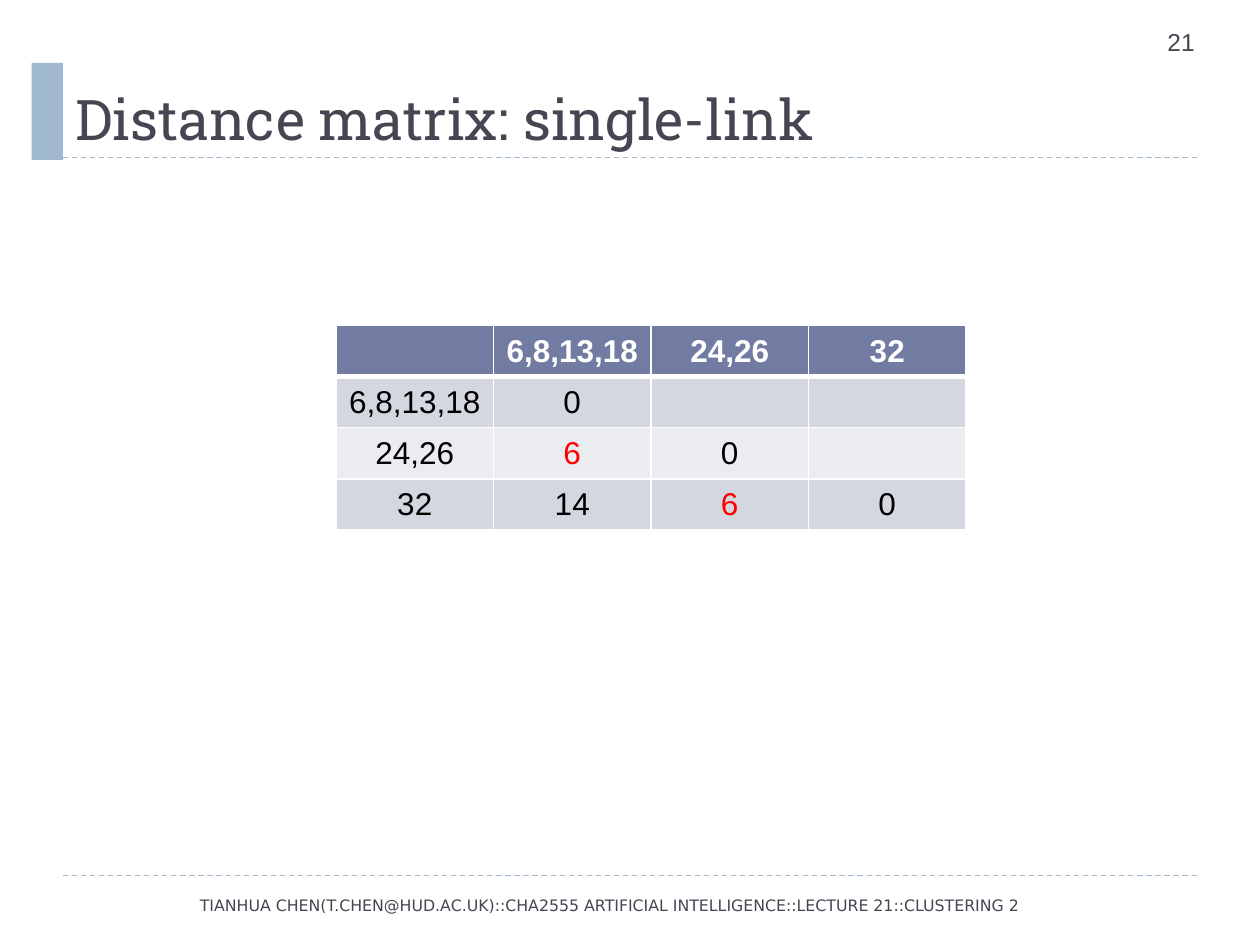
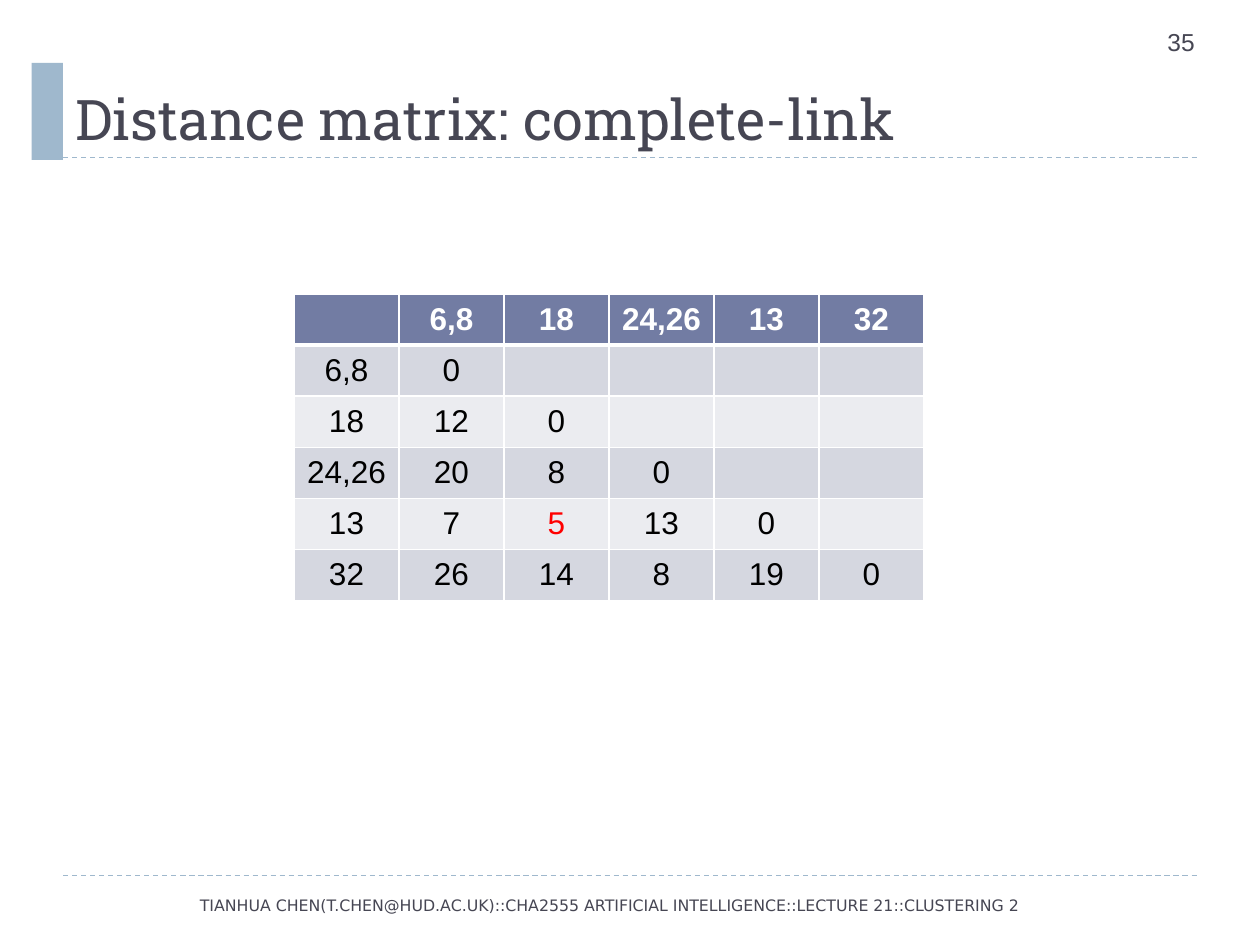
from lxml import etree
from pptx import Presentation
from pptx.dml.color import RGBColor
from pptx.enum.dml import MSO_LINE
from pptx.enum.shapes import MSO_CONNECTOR, MSO_SHAPE
from pptx.enum.text import MSO_ANCHOR, PP_ALIGN
from pptx.oxml.ns import qn
from pptx.util import Pt

STRAIGHT, RECTANGLE, DASH = MSO_CONNECTOR.STRAIGHT, MSO_SHAPE.RECTANGLE, MSO_LINE.DASH
LEFT, CENTER = PP_ALIGN.LEFT, PP_ALIGN.CENTER
TOP, MIDDLE, BOTTOM = MSO_ANCHOR.TOP, MSO_ANCHOR.MIDDLE, MSO_ANCHOR.BOTTOM

ACCENT = RGBColor(0x9F, 0xB8, 0xCD)
INK = RGBColor(0x46, 0x46, 0x53)
HEADER_FILL = RGBColor(0x72, 0x7C, 0xA3)
BAND_FILLS = (RGBColor(0xD5, 0xD7, 0xE0), RGBColor(0xEB, 0xEC, 0xF0))
WHITE = RGBColor(0xFF, 0xFF, 0xFF)
BLACK = RGBColor(0x00, 0x00, 0x00)
RED = RGBColor(0xFF, 0x00, 0x00)

TITLE_FONT = {"name": "Roboto Slab", "size": Pt(32)}
NUMBER_FONT = {"name": "Arial", "size": Pt(14)}
FOOTER_FONT = {"name": "DejaVu Sans", "size": Pt(9)}
CELL_FONT = {"name": "Arial", "size": Pt(18)}

# Boxes are left, top, width, height in points.
TITLE_BOX = (36, 12, 648, 78)
NUMBER_BOX = (660, 12, 60, 29)
FOOTER_BOX = (14.4, 501, 667.4, 32)
TAB_BOX = (18, 36, 18, 55.4)
RULE_LEFT, RULE_RIGHT = 36, 684
RULE_TOPS = (500.4, 90)
TABLE_WIDTH, ROW_HEIGHT = 360, 29.2

FOOTER = ("TIANHUA CHEN(T.CHEN@HUD.AC.UK)::CHA2555 ARTIFICIAL INTELLIGENCE"
          "::LECTURE 21::CLUSTERING 2")

# Each matrix is a lower triangle: row i holds the distances to clusters 0..i.
MATRIX_SLIDES = [
    {"number": 21, "title": "Distance matrix: single-link", "corner": (192, 186),
     "clusters": ["6,8,13,18", "24,26", "32"],
     "distances": [[0], [6, 0], [14, 6, 0]]},
    {"number": 35, "title": "Distance matrix: complete-link", "corner": (168, 168),
     "clusters": ["6,8", "18", "24,26", "13", "32"],
     "distances": [[0], [12, 0], [20, 8, 0], [7, 5, 13, 0], [26, 14, 8, 19, 0]]},
]


def write(para, text, font, color, align, bold=False):
    para.alignment = align
    span = para.add_run()
    span.text = str(text)
    for name, value in {**font, "bold": bold}.items():
        setattr(span.font, name, value)
    span.font.color.rgb = color


def add_text(page, box, text, font, align=LEFT, anchor=TOP):
    frame = page.shapes.add_textbox(*map(Pt, box)).text_frame
    frame.word_wrap = True
    frame.vertical_anchor = anchor
    write(frame.paragraphs[0], text, font, INK, align)


def add_rule(page, top):
    rule = page.shapes.add_connector(
        STRAIGHT, Pt(RULE_LEFT), Pt(top), Pt(RULE_RIGHT), Pt(top))
    rule.line.color.rgb = ACCENT
    rule.line.width = Pt(0.75)
    rule.line.dash_style = DASH
    etree.SubElement(rule._element.spPr, qn("a:effectLst"))


def add_frame(page, number, title):
    """Add what every slide shares: rules, title tab, number, title and footer."""
    for top in RULE_TOPS:
        add_rule(page, top)
    tab = page.shapes.add_shape(RECTANGLE, *map(Pt, TAB_BOX))
    tab.shadow.inherit = False
    tab.fill.solid()
    tab.fill.fore_color.rgb = ACCENT
    tab.line.fill.background()
    add_text(page, NUMBER_BOX, number, NUMBER_FONT)
    add_text(page, TITLE_BOX, title, TITLE_FONT, anchor=BOTTOM)
    add_text(page, FOOTER_BOX, FOOTER, FOOTER_FONT, CENTER, MIDDLE)


def set_borders(cell, top=1, bottom=1):
    properties = cell._tc.get_or_add_tcPr()
    for side, width in {"L": 1, "R": 1, "T": top, "B": bottom}.items():
        line = etree.SubElement(properties, qn(f"a:ln{side}"), w=str(Pt(width)))
        fill = etree.SubElement(line, qn("a:solidFill"))
        etree.SubElement(fill, qn("a:srgbClr"), val=str(WHITE))


def add_matrix(page, corner, clusters, distances):
    """Add the distance table, with the smallest distance between clusters in red."""
    count = len(clusters) + 1
    box = (*corner, TABLE_WIDTH, count * ROW_HEIGHT)
    table = page.shapes.add_table(count, count, *map(Pt, box)).table
    for column in table.columns:
        column.width = Pt(TABLE_WIDTH / count)
    for row in table.rows:
        row.height = Pt(ROW_HEIGHT)

    nearest = min(value for row in distances for value in row[:-1])
    grid = [["", *clusters]]
    grid += [[cluster, *row] for cluster, row in zip(clusters, distances)]
    for row, values in enumerate(grid):
        header = row == 0
        for column in range(count):
            cell = table.cell(row, column)
            set_borders(cell, top=3 if row == 1 else 1, bottom=3 if header else 1)
            cell.fill.solid()
            cell.fill.fore_color.rgb = HEADER_FILL if header else BAND_FILLS[(row - 1) % 2]
            cell.vertical_anchor = MIDDLE
            if column < len(values) and values[column] != "":
                value = values[column]
                color = WHITE if header else RED if value == nearest else BLACK
                write(cell.text_frame.paragraphs[0], value, CELL_FONT, color, CENTER, header)


def main():
    deck = Presentation()
    deck.slide_width, deck.slide_height = Pt(720), Pt(540)
    blank = deck.slide_layouts[6]
    for content in MATRIX_SLIDES:
        page = deck.slides.add_slide(blank)
        add_frame(page, content["number"], content["title"])
        add_matrix(page, content["corner"], content["clusters"], content["distances"])
    deck.save("out.pptx")


if __name__ == "__main__":
    main()
